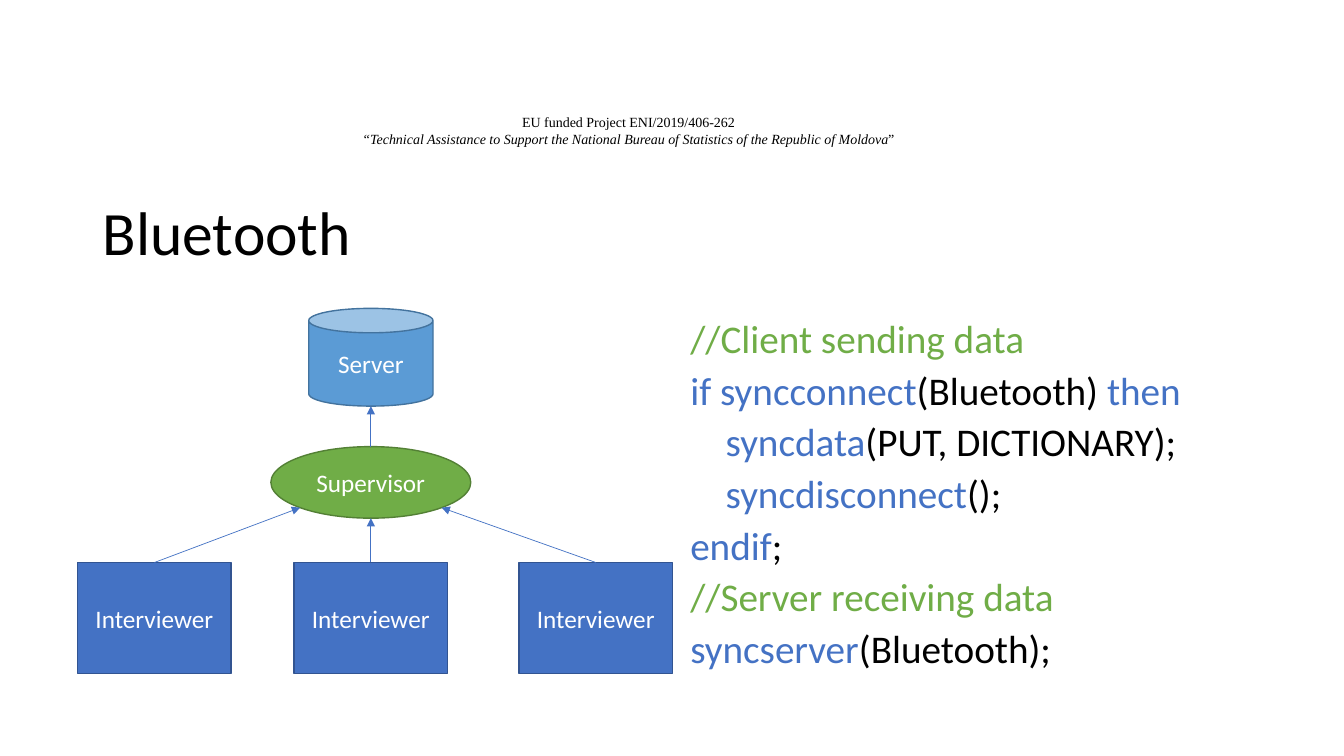
from dataclasses import dataclass

from lxml.etree import SubElement
from pptx import Presentation
from pptx.dml.color import RGBColor as RGB
from pptx.enum.shapes import MSO_CONNECTOR as Connector, MSO_SHAPE as Shape
from pptx.enum.text import MSO_ANCHOR as Anchor, MSO_AUTO_SIZE as AutoSize, PP_ALIGN as Align
from pptx.oxml.ns import qn
from pptx.util import Pt


@dataclass(frozen=True)
class Theme:
    black: RGB = RGB(0x00, 0x00, 0x00)
    white: RGB = RGB(0xFF, 0xFF, 0xFF)
    blue: RGB = RGB(0x44, 0x72, 0xC4)
    blue_edge: RGB = RGB(0x32, 0x54, 0x91)
    green: RGB = RGB(0x70, 0xAD, 0x47)
    green_edge: RGB = RGB(0x53, 0x80, 0x35)
    sky: RGB = RGB(0x5B, 0x9B, 0xD5)
    sky_edge: RGB = RGB(0x43, 0x73, 0x9E)
    font: str = "Calibri"
    header_font: str = "Times New Roman"
    header_size: int = 10
    title_size: int = 44
    code_size: int = 28
    label_size: int = 18


THEME = Theme()

# Content: each line is a list of (text, style) pieces
TITLE = "Bluetooth"
HEADER = [
    [("EU funded Project ENI/2019/406-262", False)],
    [("“Technical Assistance to Support the National Bureau of Statistics "
      "of the Republic of Moldova", True), ("”", False)],
]
CODE = [
    [("//Client sending data", THEME.green)],
    [("if syncconnect", THEME.blue), ("(Bluetooth) ", THEME.black), ("then", THEME.blue)],
    [("    ", THEME.black), ("syncdata", THEME.blue), ("(PUT, DICTIONARY);", THEME.black)],
    [("    ", THEME.black), ("syncdisconnect", THEME.blue), ("();", THEME.black)],
    [("endif", THEME.blue), (";", THEME.black)],
    [("//Server receiving data", THEME.green)],
    [("syncserver", THEME.blue), ("(Bluetooth);", THEME.black)],
]

# Places: left, top, width, height in points
HEADER_AREA = (208.8, 77.8, 480.2, 31.7)
TITLE_AREA = (66.2, 115.9, 828, 104.4)
CODE_AREA = (486, 227.5, 408.2, 259.2)
CENTRE = 264.9
SERVER_TOP, SERVER_WIDTH, SERVER_HEIGHT = 220.3, 88.8, 69.8
SUPERVISOR_TOP, SUPERVISOR_WIDTH, SUPERVISOR_HEIGHT = 319, 142.8, 51.1
INTERVIEWER_CENTRES = (110.3, CENTRE, 425.6)
INTERVIEWER_TOP, INTERVIEWER_WIDTH, INTERVIEWER_HEIGHT = 401.8, 109.6, 79.2


def points(*values):
    return [Pt(value) for value in values]


def set_font(font, name, size, color):
    font.name = name
    font.size = Pt(size)
    font.color.rgb = color


def add_text(slide, area):
    frame = slide.shapes.add_textbox(*points(*area)).text_frame
    frame.word_wrap = True
    return frame


def next_paragraph(frame, index):
    return frame.add_paragraph() if index else frame.paragraphs[0]


def add_node(slide, kind, label, centre, top, width, height, fill, edge):
    node = slide.shapes.add_shape(kind, *points(centre - width / 2, top, width, height))
    node.shadow.inherit = False
    node.fill.solid()
    node.fill.fore_color.rgb = fill
    node.line.color.rgb = edge
    node.line.width = Pt(1)
    frame = node.text_frame
    frame.vertical_anchor = Anchor.MIDDLE
    para = frame.paragraphs[0]
    para.text = label
    para.alignment = Align.CENTER
    set_font(para.font, THEME.font, THEME.label_size, THEME.white)
    return node


def add_arrow(slide, start, end):
    arrow = slide.shapes.add_connector(Connector.STRAIGHT, *points(*start, *end))
    arrow.line.color.rgb = THEME.blue
    arrow.line.width = Pt(0.5)
    SubElement(arrow.line._get_or_add_ln(), qn("a:tailEnd"), type="triangle")
    SubElement(arrow._element.spPr, qn("a:effectLst"))
    return arrow


def add_header(slide):
    frame = add_text(slide, HEADER_AREA)
    for index, pieces in enumerate(HEADER):
        para = next_paragraph(frame, index)
        para.alignment = Align.CENTER
        set_font(para.font, THEME.header_font, THEME.header_size, THEME.black)
        for text, italic in pieces:
            span = para.add_run()
            span.text = text
            span.font.italic = italic


def add_title(slide):
    title = slide.shapes.title
    title.left, title.top, title.width, title.height = points(*TITLE_AREA)
    frame = title.text_frame
    frame.auto_size = AutoSize.NONE
    frame.vertical_anchor = Anchor.MIDDLE
    para = frame.paragraphs[0]
    para.text = TITLE
    para.alignment = Align.LEFT
    para.line_spacing = 0.9
    set_font(para.font, THEME.font, THEME.title_size, THEME.black)


def add_code(slide):
    frame = add_text(slide, CODE_AREA)
    for index, pieces in enumerate(CODE):
        para = next_paragraph(frame, index)
        para.line_spacing = 0.8
        para.space_before = Pt(10 if index else 0)
        para.font.name = THEME.font
        para.font.size = Pt(THEME.code_size)
        for text, color in pieces:
            span = para.add_run()
            span.text = text
            span.font.color.rgb = color


def add_diagram(slide):
    interviewers = [
        add_node(slide, Shape.RECTANGLE, "Interviewer", centre, INTERVIEWER_TOP,
                 INTERVIEWER_WIDTH, INTERVIEWER_HEIGHT, THEME.blue, THEME.blue_edge)
        for centre in INTERVIEWER_CENTRES
    ]
    add_node(slide, Shape.OVAL, "Supervisor", CENTRE, SUPERVISOR_TOP,
             SUPERVISOR_WIDTH, SUPERVISOR_HEIGHT, THEME.green, THEME.green_edge)
    add_node(slide, Shape.CAN, "Server", CENTRE, SERVER_TOP,
             SERVER_WIDTH, SERVER_HEIGHT, THEME.sky, THEME.sky_edge)

    # Arrows meet the ellipse at its lower left, bottom and lower right
    diagonal = 0.5 ** 0.5
    middle = SUPERVISOR_TOP + SUPERVISOR_HEIGHT / 2
    directions = ((-diagonal, diagonal), (0, 1), (diagonal, diagonal))
    for box, centre, (across, down) in zip(interviewers, INTERVIEWER_CENTRES, directions):
        end = (CENTRE + across * SUPERVISOR_WIDTH / 2, middle + down * SUPERVISOR_HEIGHT / 2)
        arrow = add_arrow(slide, (centre, INTERVIEWER_TOP), end)
        arrow.begin_connect(box, 0)
    add_arrow(slide, (CENTRE, SUPERVISOR_TOP), (CENTRE, SERVER_TOP + SERVER_HEIGHT))


def main():
    deck = Presentation()
    deck.slide_width, deck.slide_height = points(960, 540)
    slide = deck.slides.add_slide(deck.slide_layouts[5])
    add_header(slide)
    add_title(slide)
    add_code(slide)
    add_diagram(slide)
    deck.save("out.pptx")


if __name__ == "__main__":
    main()
